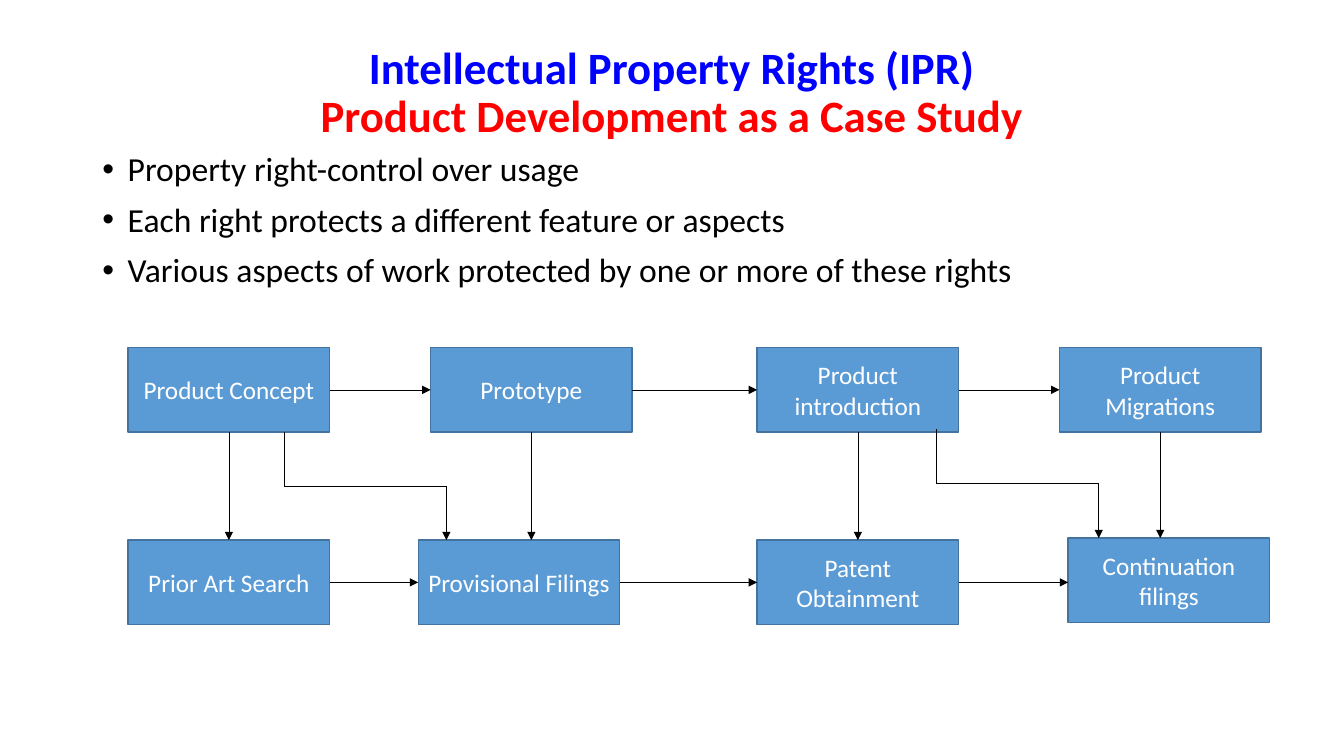
"""Build the slide on intellectual property rights in product development."""
from itertools import pairwise

from lxml import etree
from pptx import Presentation
from pptx.dml.color import RGBColor
from pptx.enum.shapes import MSO_CONNECTOR, MSO_SHAPE
from pptx.enum.text import MSO_ANCHOR, PP_ALIGN
from pptx.oxml.ns import qn
from pptx.util import Cm, Pt

RECT = MSO_SHAPE.RECTANGLE
STRAIGHT = MSO_CONNECTOR.STRAIGHT
CENTER = PP_ALIGN.CENTER
MIDDLE = MSO_ANCHOR.MIDDLE

COLORS = {
    "title": "0000FF", "subtitle": "FF0000", "text": "000000",
    "box": "5B9BD5", "border": "43739E", "label": "FFFFFF", "arrow": "000000",
}
TITLE = {"name": "Calibri", "size": Pt(32), "bold": True}
BODY = {"name": "Calibri", "size": Pt(24)}
LABEL = {"name": "Calibri", "size": Pt(18)}

BULLETS = [
    "Property right-control over usage",
    "Each right protects a different feature or aspects",
    "Various aspects of work protected by one or more of these rights",
]
BOX_W, BOX_H = 5.08, 2.13
STAGES = [
    ("Product Concept", 3.23, 8.76),
    ("Prototype", 10.85, 8.76),
    ("Product introduction", 19.08, 8.76),
    ("Product Migrations", 26.7, 8.76),
]
FILINGS = [
    ("Prior Art Search", 3.23, 13.61),
    ("Provisional Filings", 10.54, 13.61),
    ("Patent Obtainment", 19.08, 13.61),
    ("Continuation filings", 26.92, 13.56),
]
ELBOWS = [(7.16, 10.89, 11.25, 13.61), (23.6, 10.82, 27.69, 13.56)]


def rgb(key):
    return RGBColor.from_string(COLORS[key])


def add_run(p, text, fmt, color):
    r = p.add_run()
    r.text = text
    for name, value in fmt.items():
        setattr(r.font, name, value)
    r.font.color.rgb = rgb(color)


def add_text_box(s, x, y, w, h):
    tf = s.shapes.add_textbox(Cm(x), Cm(y), Cm(w), Cm(h)).text_frame
    tf.word_wrap = True
    return tf


def add_title(s):
    tf = add_text_box(s, 2.33, 1.01, 29.21, 2.72)
    tf.vertical_anchor = MIDDLE
    p = tf.paragraphs[0]
    p.alignment = CENTER
    p.line_spacing = 0.9
    add_run(p, "Intellectual Property Rights (IPR)", TITLE, "title")
    p.add_line_break()
    add_run(p, "Product Development as a Case Study", TITLE, "subtitle")


def add_bullets(s):
    tf = add_text_box(s, 2.33, 3.73, 29.21, 4.4)
    for i, text in enumerate(BULLETS):
        p = tf.paragraphs[0] if i == 0 else tf.add_paragraph()
        pPr = p._p.get_or_add_pPr()
        pPr.set("marL", str(Cm(0.64)))
        pPr.set("indent", str(Cm(-0.64)))
        etree.SubElement(pPr, qn("a:buFont"), typeface="Arial")
        etree.SubElement(pPr, qn("a:buChar"), char="•")
        p.line_spacing = 0.9
        p.space_before = Pt(10 if i else 0)
        add_run(p, text, BODY, "text")


def add_box(s, text, x, y):
    sp = s.shapes.add_shape(RECT, Cm(x), Cm(y), Cm(BOX_W), Cm(BOX_H))
    sp.shadow.inherit = False
    sp.fill.solid()
    sp.fill.fore_color.rgb = rgb("box")
    sp.line.color.rgb = rgb("border")
    sp.line.width = Pt(1)
    tf = sp.text_frame
    tf.word_wrap = True
    tf.vertical_anchor = MIDDLE
    tf.margin_left = tf.margin_right = Cm(0.22)
    p = tf.paragraphs[0]
    p.alignment = CENTER
    add_run(p, text, LABEL, "label")


def add_line(s, x1, y1, x2, y2, arrow=True):
    cx = s.shapes.add_connector(STRAIGHT, Cm(x1), Cm(y1), Cm(x2), Cm(y2))
    cx.line.color.rgb = rgb("arrow")
    cx.line.width = Pt(0.5)
    if arrow:
        etree.SubElement(cx.line._get_or_add_ln(), qn("a:tailEnd"), type="triangle")
    etree.SubElement(cx._element.spPr, qn("a:effectLst"))


def add_elbow(s, x1, y1, x2, y2):
    mid = (y1 + y2) / 2
    add_line(s, x1, y1, x1, mid, arrow=False)
    add_line(s, x1, mid, x2, mid, arrow=False)
    add_line(s, x2, mid, x2, y2)


def add_flow(s):
    for row in (STAGES, FILINGS):
        for text, x, y in row:
            add_box(s, text, x, y)
        mid = row[0][2] + BOX_H / 2
        for (_, left, _), (_, right, _) in pairwise(row):
            add_line(s, left + BOX_W, mid, right, mid)
    for (_, x, y), (_, _, bottom) in zip(STAGES, FILINGS):
        add_line(s, x + BOX_W / 2, y + BOX_H, x + BOX_W / 2, bottom)
    for elbow in ELBOWS:
        add_elbow(s, *elbow)


def main():
    prs = Presentation()
    prs.slide_width, prs.slide_height = Cm(33.87), Cm(19.05)
    s = prs.slides.add_slide(prs.slide_layouts[6])
    add_title(s)
    add_bullets(s)
    add_flow(s)
    prs.save("out.pptx")


if __name__ == "__main__":
    main()
